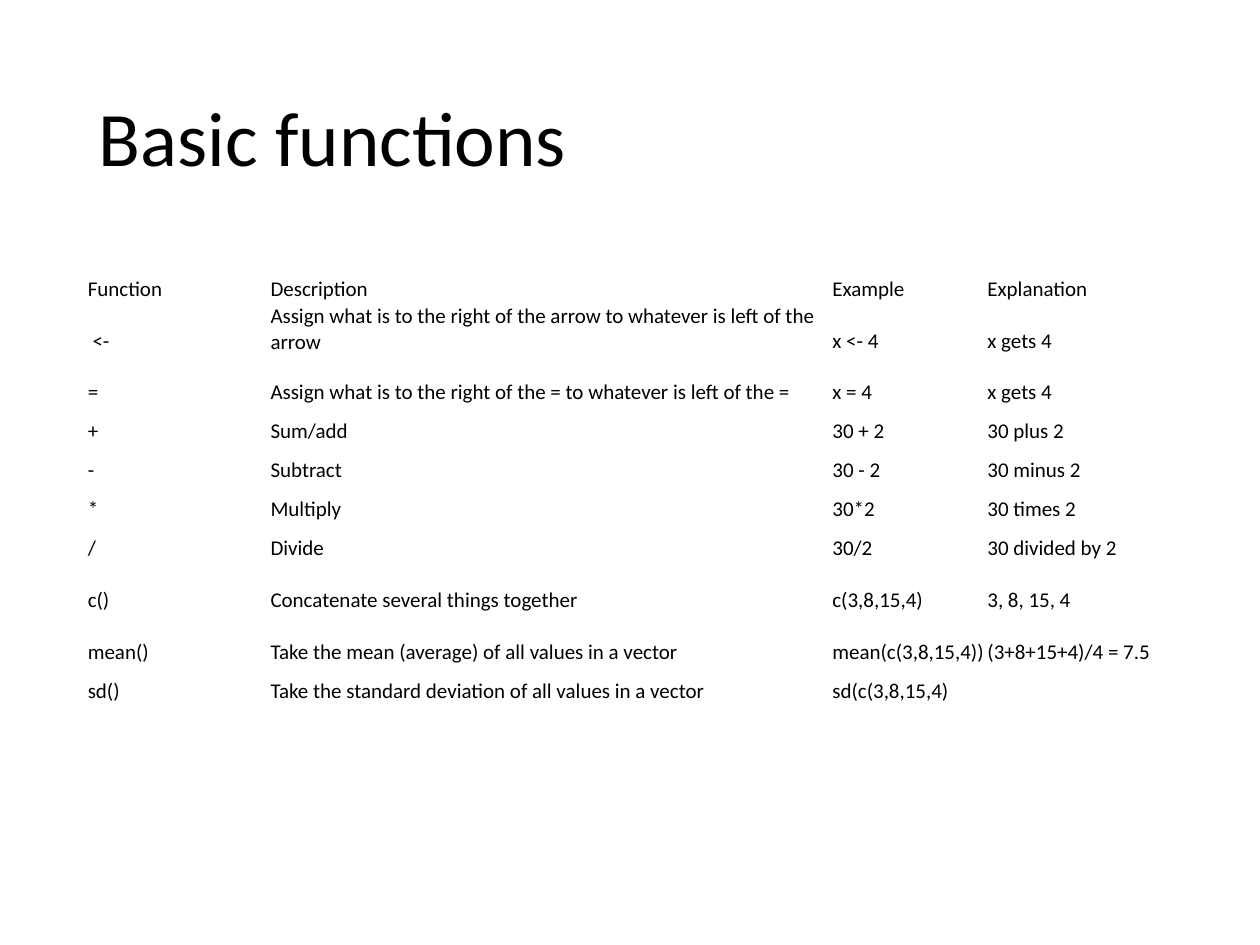
from pptx import Presentation
from pptx.dml.color import RGBColor
from pptx.enum import text
from pptx.util import Pt

FONT = "Calibri"
BLACK = "000000"
COLUMN_WIDTHS = [104.4, 321.1, 88.6, 106.5]
SHORT_ROW, TALL_ROW = 22.3, 29.5
TALL_FUNCTIONS = {" <-", "=", "c()", "mean()"}
FUNCTIONS = [
    ("Function", "Description", "Example", "Explanation"),
    (" <-", "Assign what is to the right of the arrow to whatever is left of the arrow",
     "x <- 4", "x gets 4"),
    ("=", "Assign what is to the right of the = to whatever is left of the =",
     "x = 4", "x gets 4"),
    ("+", "Sum/add", "30 + 2", "30 plus 2"),
    ("-", "Subtract", "30 - 2", "30 minus 2"),
    ("*", "Multiply", "30*2", "30 times 2"),
    ("/", "Divide", "30/2", "30 divided by 2"),
    ("c()", "Concatenate several things together", "c(3,8,15,4)", "3, 8, 15, 4"),
    ("mean()", "Take the mean (average) of all values in a vector",
     "mean(c(3,8,15,4))", "(3+8+15+4)/4 = 7.5"),
    ("sd()", "Take the standard deviation of all values in a vector", "sd(c(3,8,15,4)", ""),
]


def color(value):
    return RGBColor.from_string(value)


def style_font(paragraph, size):
    paragraph.font.name = FONT
    paragraph.font.size = Pt(size)
    paragraph.font.color.rgb = color(BLACK)


def add_title(slide, left, top, width, height):
    shape = slide.shapes.add_textbox(Pt(left), Pt(top), Pt(width), Pt(height))
    frame = shape.text_frame
    frame.word_wrap = True
    frame.vertical_anchor = text.MSO_ANCHOR.MIDDLE
    paragraph = frame.paragraphs[0]
    paragraph.text = "Basic functions"
    paragraph.line_spacing = 0.9
    style_font(paragraph, 44)


def fill_cell(cell, content):
    cell.fill.background()
    cell.vertical_anchor = text.MSO_ANCHOR.BOTTOM
    cell.margin_left = cell.margin_right = cell.margin_top = Pt(0.7)
    cell.margin_bottom = Pt(0)
    paragraph = cell.text_frame.paragraphs[0]
    paragraph.text = content
    style_font(paragraph, 12)


def add_function_table(slide, left, top, width, height):
    table = slide.shapes.add_table(
        len(FUNCTIONS), len(COLUMN_WIDTHS), Pt(left), Pt(top), Pt(width), Pt(height)).table
    table.first_row = False
    table.horz_banding = False
    for column, column_width in zip(table.columns, COLUMN_WIDTHS):
        column.width = Pt(column_width)
    for row, contents in zip(table.rows, FUNCTIONS):
        row.height = Pt(TALL_ROW if contents[0] in TALL_FUNCTIONS else SHORT_ROW)
        for cell, content in zip(row.cells, contents):
            fill_cell(cell, content)


def main():
    presentation = Presentation()
    presentation.slide_width, presentation.slide_height = Pt(720), Pt(540)
    slide = presentation.slides.add_slide(presentation.slide_layouts[6])
    add_title(slide, 49.5, 28.75, 621, 104.4)
    add_function_table(slide, 49.5, 150.5, 620.6, 251.8)
    presentation.save("out.pptx")


if __name__ == "__main__":
    main()
